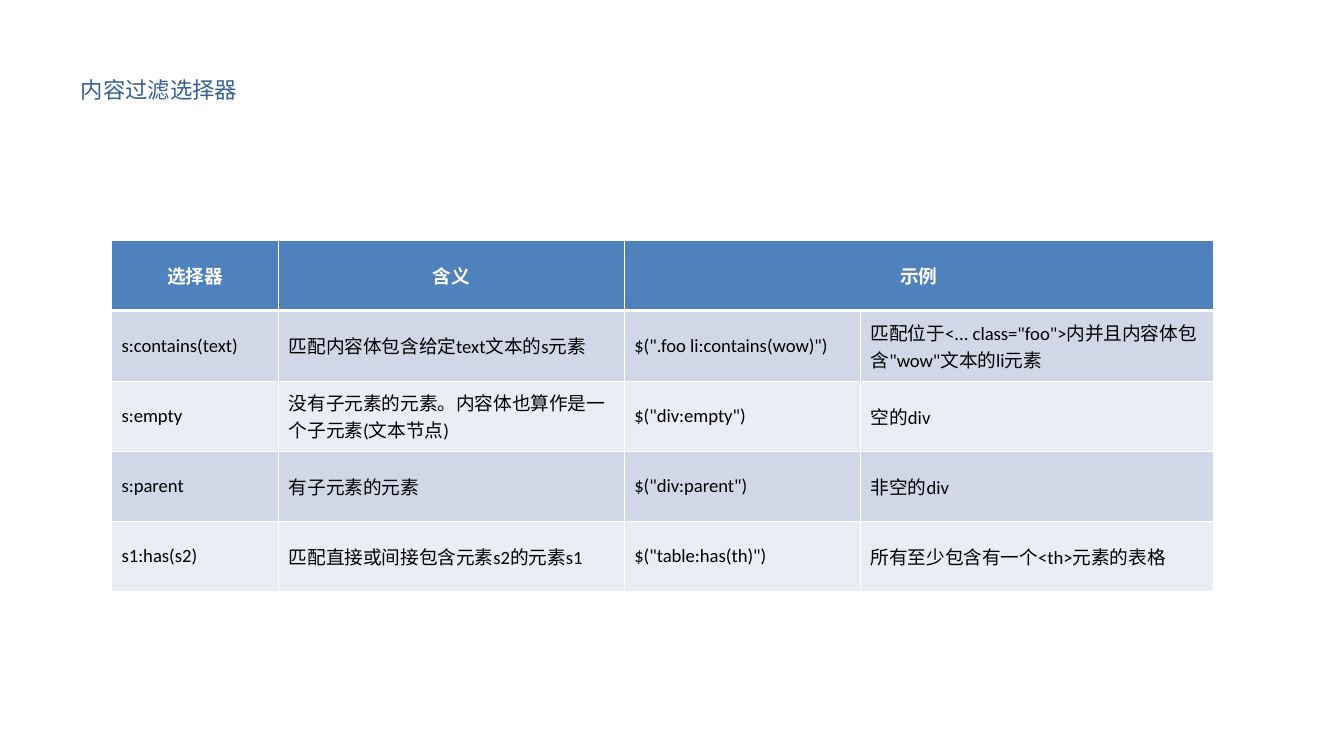
import lxml.etree
import pptx
import pptx.dml.color
import pptx.enum.text
import pptx.oxml
import pptx.oxml.ns
import pptx.util


def colour(value):
    return pptx.dml.color.RGBColor.from_string(value)


def write(frame, text, size=10, font="Calibri", ink="000000", bold=False, align="LEFT"):
    para = frame.paragraphs[0]
    para.alignment = pptx.enum.text.PP_ALIGN[align]
    span = para.add_run()
    span.text = text
    span.font.size = pptx.util.Pt(size)
    span.font.name = font
    span.font.color.rgb = colour(ink)
    span.font.bold = bold


deck = pptx.Presentation()
deck.slide_width = pptx.util.Inches(10)
deck.slide_height = deck.slide_width * 9 // 16
column = deck.slide_width / 100
row = deck.slide_height / 100
page = deck.slides.add_slide(deck.slide_layouts[5])

title = page.shapes.title
title.left, title.top = int(5 * column), int(8 * row)
title.width, title.height = int(91.1 * column), int(7.8 * row)
title.text_frame.vertical_anchor = pptx.enum.text.MSO_ANCHOR.MIDDLE
write(title.text_frame, "内容过滤选择器", size=12, font="Arial", ink="366092")

selectors = [
    ["选择器", "含义", "示例", ""],
    ["s:contains(text)", "匹配内容体包含给定text文本的s元素", '$(".foo li:contains(wow)")',
     '匹配位于<... class="foo">内并且内容体包含"wow"文本的li元素'],
    ["s:empty", "没有子元素的元素。内容体也算作是一个子元素(文本节点)", '$("div:empty")', "空的div"],
    ["s:parent", "有子元素的元素", '$("div:parent")', "非空的div"],
    ["s1:has(s2)", "匹配直接或间接包含元素s2的元素s1", '$("table:has(th)")',
     "所有至少包含有一个<th>元素的表格"],
]
column_shares = [12.45, 25.7, 17.6, 26.25]
row_share = 9.3

table = page.shapes.add_table(
    len(selectors), len(column_shares), int(8.3 * column), int(31.8 * row),
    int(sum(column_shares) * column), int(len(selectors) * row_share * row),
).table
for table_column, share in zip(table.columns, column_shares):
    table_column.width = int(share * column)
for table_row in table.rows:
    table_row.height = int(row_share * row)
table.cell(0, 2).merge(table.cell(0, 3))

for row_index, texts in enumerate(selectors):
    header = row_index == 0
    fill = "4F81BD" if header else ("E9EDF4", "D0D8E8")[row_index % 2]
    for column_index, text in enumerate(texts):
        cell = table.cell(row_index, column_index)
        cell.vertical_anchor = pptx.enum.text.MSO_ANCHOR.MIDDLE
        cell.margin_left = cell.margin_right = pptx.util.Inches(0.075)
        cell.margin_top = cell.margin_bottom = pptx.util.Inches(0.05)
        properties = cell._tc.get_or_add_tcPr()
        for side in "LRTB":
            heavy = (row_index, side) in [(0, "B"), (1, "T")]
            border = lxml.etree.SubElement(properties, pptx.oxml.ns.qn(f"a:ln{side}"))
            border.set("w", str(pptx.util.Pt(1.47 if heavy else 0.45)))
            paint = lxml.etree.SubElement(border, pptx.oxml.ns.qn("a:solidFill"))
            lxml.etree.SubElement(paint, pptx.oxml.ns.qn("a:srgbClr")).set("val", "FFFFFF")
        cell.fill.solid()
        cell.fill.fore_color.rgb = colour(fill)
        if text:
            write(cell.text_frame, text, bold=header, ink="FFFFFF" if header else "000000",
                  align="CENTER" if header else "LEFT")

deck.save("out.pptx")
